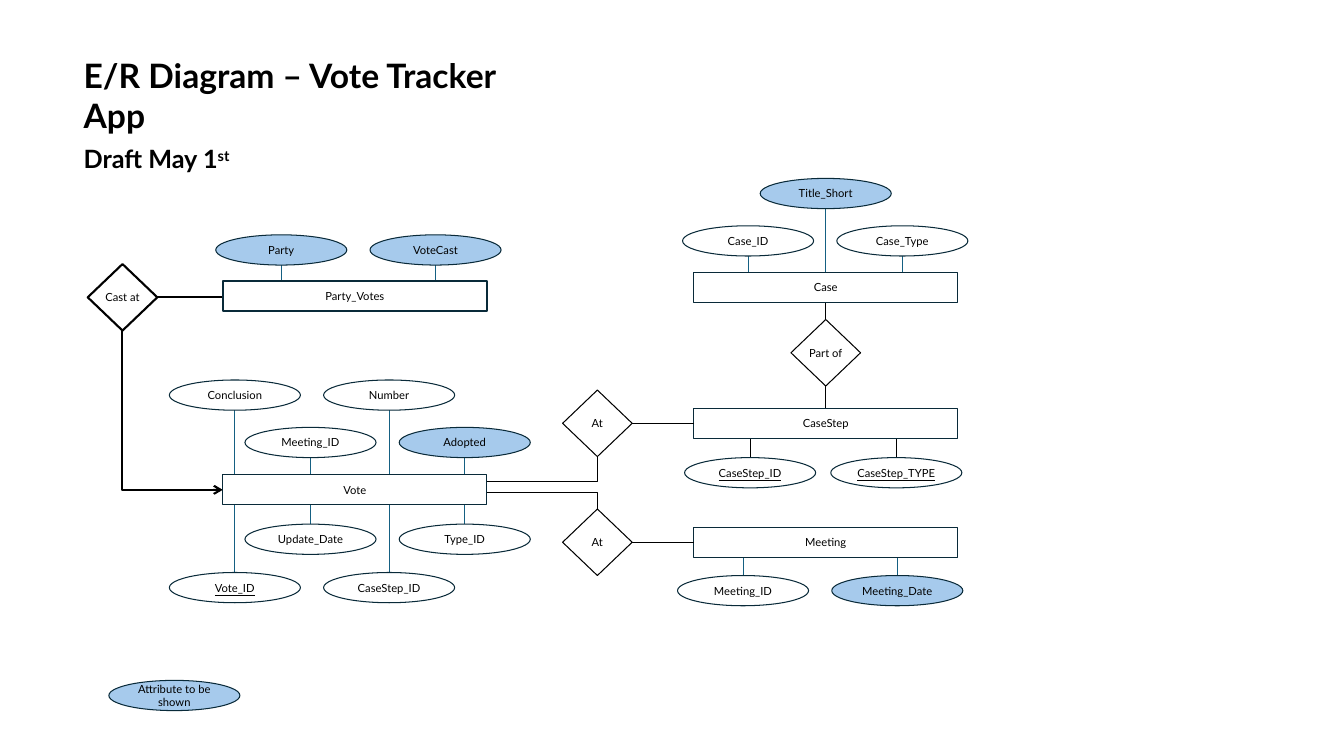
from lxml import etree
from pptx import Presentation
from pptx.dml.color import RGBColor
from pptx.enum import shapes, text
from pptx.oxml.ns import qn
from pptx.util import Inches, Pt

BLACK = RGBColor(0x00, 0x00, 0x00)
WHITE = RGBColor(0xFF, 0xFF, 0xFF)
NAVY = RGBColor(0x09, 0x2A, 0x39)
TEAL = RGBColor(0x15, 0x60, 0x82)
SKY = RGBColor(0xA6, 0xCA, 0xEC)

FONT = "Lato"
BOX_W, BOX_H = 2.62, 0.3
OVAL_W, OVAL_H = 1.3, 0.3
DIAMOND_W, DIAMOND_H = 0.69, 0.66
THIN, THICK = 0.75, 1.5


def add_text(p, words, size=8, bold=False, underline=False, raised=False):
    r = p.add_run()
    r.text = words
    f = r.font
    f.name, f.size, f.bold, f.underline = FONT, Pt(size), bold, underline
    f.color.rgb = BLACK
    if raised:
        r._r.get_or_add_rPr().set("baseline", "30000")


def add_node(s, kind, words, left, top, w, h, fill=WHITE, line=NAVY,
             weight=THIN, inset=0.1, wrap=True, underline=False):
    sp = s.shapes.add_shape(kind, Inches(left), Inches(top), Inches(w), Inches(h))
    sp.shadow.inherit = False
    sp.fill.solid()
    sp.fill.fore_color.rgb = fill
    sp.line.color.rgb = line
    sp.line.width = Pt(weight)
    tf = sp.text_frame
    tf.word_wrap = wrap
    tf.vertical_anchor = text.MSO_ANCHOR.MIDDLE
    tf.margin_left = tf.margin_right = Inches(inset)
    p = tf.paragraphs[0]
    p.alignment = text.PP_ALIGN.CENTER
    add_text(p, words, underline=underline)


def add_link(s, x1, y1, x2, y2, color=BLACK, weight=THIN, bent=False, arrow=False):
    """Join two points; a bent link runs sideways first, and an arrow points at the first."""
    kind = shapes.MSO_CONNECTOR.ELBOW if bent else shapes.MSO_CONNECTOR.STRAIGHT
    c = s.shapes.add_connector(kind, Inches(x1), Inches(y1), Inches(x2), Inches(y2))
    c.line.color.rgb = color
    c.line.width = Pt(weight)
    spPr = c._element.spPr
    if bent:
        spPr.find(qn("a:prstGeom")).set("prst", "bentConnector2")
    if arrow:
        etree.SubElement(spPr.find(qn("a:ln")), qn("a:headEnd"), type="arrow")
    etree.SubElement(spPr, qn("a:effectLst"))


def add_oval(s, words, left, top, **style):
    add_node(s, shapes.MSO_SHAPE.OVAL, words, left, top, OVAL_W, OVAL_H,
             inset=0.04, **style)


def add_entity(s, name, left, top, rows, shown=(), keys=(), color=TEAL,
               weight=THIN, step=1.53):
    """Place an entity box and its attributes; each row is (dx, dy, names) from the box."""
    ovals = [(words, left + dx + i * step, top + dy)
             for dx, dy, names in rows for i, words in enumerate(names)]
    for _, x, y in ovals:
        center = x + OVAL_W / 2
        if y < top:
            add_link(s, center, y + OVAL_H, center, top, color)
        else:
            add_link(s, center, top + BOX_H, center, y, color)
    for words, x, y in ovals:
        add_oval(s, words, x, y, fill=SKY if words in shown else WHITE,
                 underline=words in keys)
    add_node(s, shapes.MSO_SHAPE.RECTANGLE, name, left, top, BOX_W, BOX_H,
             weight=weight)


def add_relation(s, words, left, top, weight=THIN):
    add_node(s, shapes.MSO_SHAPE.DIAMOND, words, left, top, DIAMOND_W, DIAMOND_H,
             line=BLACK, weight=weight, inset=0, wrap=False)


def add_title(s, left, top, w, h):
    sp = s.shapes.title
    sp.left, sp.top, sp.width, sp.height = map(Inches, (left, top, w, h))
    tf = sp.text_frame
    tf.word_wrap = True
    tf.auto_size = text.MSO_AUTO_SIZE.NONE
    tf.vertical_anchor = text.MSO_ANCHOR.TOP
    heading, draft = tf.paragraphs[0], tf.add_paragraph()
    for p in (heading, draft):
        p.alignment = text.PP_ALIGN.LEFT
        p.line_spacing = 1.0
        p.space_before = Pt(0)
    draft.space_before = Pt(6)
    add_text(heading, "E/R Diagram – Vote Tracker App", size=24, bold=True)
    add_text(draft, "Draft May 1", size=18, bold=True)
    add_text(draft, "st", size=18, bold=True, raised=True)


def add_vote_side(s, left):
    """Votes and party votes, joined by the "Cast at" relation on their left."""
    right_of_diamond, middle = 1.56, 1.21
    add_link(s, right_of_diamond, 2.95, left, 2.95, weight=THICK)
    add_link(s, left, 4.86, middle, 3.28, weight=THICK, bent=True, arrow=True)
    add_relation(s, "Cast at", 0.87, 2.62, weight=THICK)
    add_entity(s, "Party_Votes", left, 2.79, [(-0.07, -0.46, ("Party", "VoteCast"))],
               shown=("Party", "VoteCast"), weight=THICK)
    add_entity(s, "Vote", left, 4.71,
               [(-0.53, -0.94, ("Conclusion", "Number")),
                (0.22, -0.47, ("Meeting_ID", "Adopted")),
                (0.22, 0.49, ("Update_Date", "Type_ID")),
                (-0.53, 0.97, ("Vote_ID", "CaseStep_ID"))],
               shown=("Adopted",), keys=("Vote_ID",))


def add_case_side(s, left):
    """Case, case step and meeting, stacked in one column."""
    center = left + BOX_W / 2
    add_link(s, center, 3.0, center, 3.17)
    add_link(s, center, 3.83, center, 4.05)
    add_relation(s, "Part of", center - DIAMOND_W / 2, 3.17)
    add_entity(s, "Case", left, 2.7,
               [(0.66, -0.93, ("Title_Short",)),
                (-0.11, -0.46, ("Case_ID", "Case_Type"))], shown=("Title_Short",))
    names = ("CaseStep_ID", "CaseStep_TYPE")
    add_entity(s, "CaseStep", left, 4.05, [(-0.09, 0.49, names)], keys=names,
               color=BLACK, step=1.45)
    add_entity(s, "Meeting", left, 5.23,
               [(-0.16, 0.48, ("Meeting_ID", "Meeting_Date"))], shown=("Meeting_Date",))


def add_vote_links(s, left, vote_right, case_left):
    """The two "At" relations between the vote and the case column."""
    for top, exit_y, tip in ((3.87, 4.78, 4.53), (5.05, 4.89, 5.05)):
        middle_y = top + DIAMOND_H / 2
        add_link(s, vote_right, exit_y, left + DIAMOND_W / 2, tip, bent=True)
        add_link(s, left + DIAMOND_W, middle_y, case_left, middle_y)
        add_relation(s, "At", left, top)


def main():
    prs = Presentation()
    prs.slide_width, prs.slide_height = Inches(13.33), Inches(7.5)
    s = prs.slides.add_slide(prs.slide_layouts[5])
    vote_left, case_left = 2.21, 6.88
    add_title(s, 0.73, 0.49, 4.94, 1.3)
    add_vote_side(s, vote_left)
    add_case_side(s, case_left)
    add_vote_links(s, 5.58, vote_left + BOX_W, case_left)
    add_oval(s, "Attribute to be shown", 1.08, 6.75, fill=SKY)
    prs.save("out.pptx")


if __name__ == "__main__":
    main()
